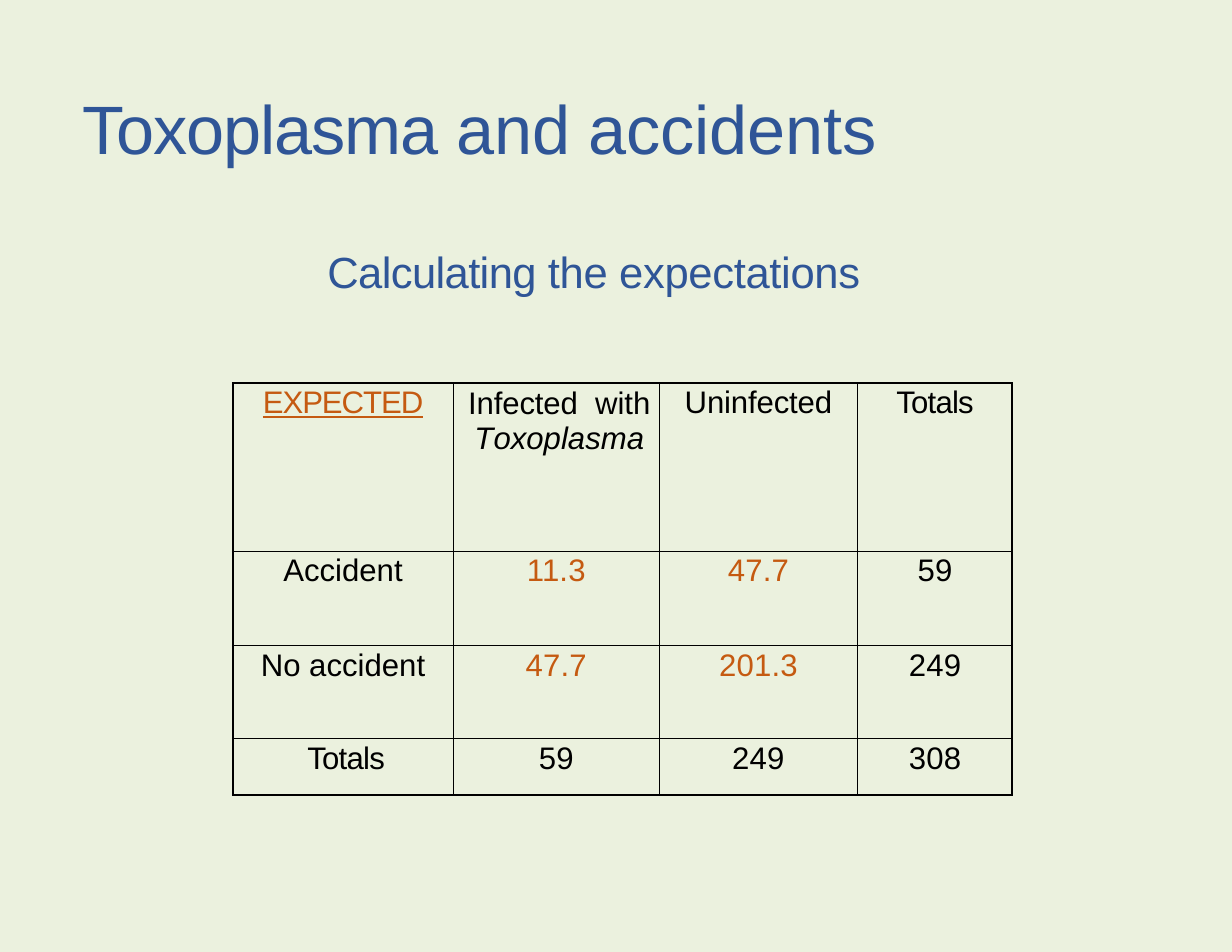
from dataclasses import dataclass

from lxml.etree import SubElement
from pptx import Presentation
from pptx.dml.color import RGBColor as RGB
from pptx.enum.text import MSO_ANCHOR as Anchor, MSO_AUTO_SIZE as AutoSize, PP_ALIGN as Align
from pptx.oxml.ns import qn
from pptx.util import Cm, Pt


@dataclass(frozen=True)
class Theme:
    font: str = "Arial"
    background: RGB = RGB(0xEB, 0xF1, 0xDE)
    heading: RGB = RGB(0x2F, 0x55, 0x97)
    accent: RGB = RGB(0xC5, 0x5A, 0x11)
    text: RGB = RGB(0, 0, 0)
    title_size: float = 44
    subtitle_size: float = 28
    table_size: float = 20
    outer_line: float = 1.5
    inner_line: float = 0.5


@dataclass(frozen=True)
class Run:
    text: str
    spacing: float = 0
    italic: bool = False
    underline: bool = False


THEME = Theme()
TITLE = [Run("Toxoplasma ", -0.7), Run("and ", -0.2), Run("accidents", -0.1)]
SUBTITLE = [Run("Calculating ", -0.4), Run("the expectations", -0.2)]

INFECTED = [Run("Infected", -0.1), Run(" ", 5.5), Run("with "),
            Run("T", -1.5, italic=True), Run("oxoplasma", italic=True)]
TOTALS = [Run("Totals", -0.5)]
ROWS = [
    [[Run("EXPECTED", -0.7, underline=True)], INFECTED, [Run("Uninfected", -0.1)], TOTALS],
    [[Run("Accident")], "11.3", "47.7", "59"],
    [[Run("No accident")], "47.7", "201.3", "249"],
    [TOTALS, "59", "249", "308"],
]
ACCENT_CELLS = {(0, 0), (1, 1), (1, 2), (2, 1), (2, 2)}
COLUMN_WIDTHS = [5, 4.67, 4.5, 3.51]
ROW_HEIGHTS = [3.81, 2.13, 2.11, 1.3]


def write_runs(p, runs, size, color):
    for run in runs:
        r = p.add_run()
        r.text = run.text
        r.font.name = THEME.font
        r.font.size = Pt(size)
        r.font.color.rgb = color
        r.font.italic = run.italic
        r.font.underline = run.underline
        r._r.get_or_add_rPr().set("spc", str(round(run.spacing * 100)))


def fill_placeholder(sp, box, runs, size, align):
    sp.left, sp.top, sp.width, sp.height = map(Cm, box)
    tf = sp.text_frame
    tf.word_wrap = True
    tf.auto_size = AutoSize.NONE
    tf.vertical_anchor = Anchor.TOP
    tf.margin_left = tf.margin_right = tf.margin_bottom = 0
    tf.margin_top = Cm(0.05)
    p = tf.paragraphs[0]
    p.alignment = align
    p.space_before = Pt(1.4)
    p.line_spacing = 1.0
    p._p.get_or_add_pPr().set("marL", str(Cm(0.03)))
    write_runs(p, runs, size, THEME.heading)


def set_borders(cell, outer_sides):
    """Draw the four sides, heavier where the cell meets the table's edge."""
    tcPr = cell._tc.get_or_add_tcPr()
    for side in "LRTB":
        width = THEME.outer_line if side in outer_sides else THEME.inner_line
        ln = SubElement(tcPr, qn(f"a:ln{side}"), w=str(Pt(width)))
        fill = SubElement(ln, qn("a:solidFill"))
        SubElement(fill, qn("a:srgbClr"), val=str(THEME.text))


def fill_cell(cell, content, row, col):
    edges = {"L": col == 0, "R": col == len(COLUMN_WIDTHS) - 1,
             "T": row == 0, "B": row == len(ROW_HEIGHTS) - 1}
    set_borders(cell, [side for side, outer in edges.items() if outer])
    cell.fill.background()
    cell.margin_left = cell.margin_right = cell.margin_bottom = 0
    cell.margin_top = Cm(0.05 if row < 2 else 0.08)
    runs = [Run(content, 0.1)] if isinstance(content, str) else content
    p = cell.text_frame.paragraphs[0]
    p.alignment = Align.CENTER
    p.space_before = Pt(1.6 if row == 0 else 1.8)
    if content is INFECTED:
        p.line_spacing = 1.02
        p.space_before = Pt(1.3)
    if content is INFECTED or (row, col) == (3, 0):
        p._p.get_or_add_pPr().set("marL", str(Cm(0.14)))
    color = THEME.accent if (row, col) in ACCENT_CELLS else THEME.text
    write_runs(p, runs, THEME.table_size, color)


def add_expected_table(s):
    frame = s.shapes.add_table(len(ROWS), len(COLUMN_WIDTHS), Cm(5.28), Cm(8.69),
                               Cm(sum(COLUMN_WIDTHS)), Cm(sum(ROW_HEIGHTS)))
    table = frame.table
    table.first_row = table.horz_banding = False
    for column, width in zip(table.columns, COLUMN_WIDTHS):
        column.width = Cm(width)
    for i, (height, contents) in enumerate(zip(ROW_HEIGHTS, ROWS)):
        table.rows[i].height = Cm(height)
        for j, content in enumerate(contents):
            fill_cell(table.cell(i, j), content, i, j)


def main():
    prs = Presentation()
    prs.slide_width, prs.slide_height = Cm(27.94), Cm(21.59)
    s = prs.slides.add_slide(prs.slide_layouts[0])
    s.background.fill.solid()
    s.background.fill.fore_color.rgb = THEME.background
    title, subtitle = s.placeholders
    fill_placeholder(title, (1.85, 1.9, 22.05, 1.93), TITLE, THEME.title_size, Align.LEFT)
    fill_placeholder(subtitle, (6.78, 5.51, 13.34, 1.24), SUBTITLE,
                     THEME.subtitle_size, Align.CENTER)
    add_expected_table(s)
    prs.save("out.pptx")


if __name__ == "__main__":
    main()
